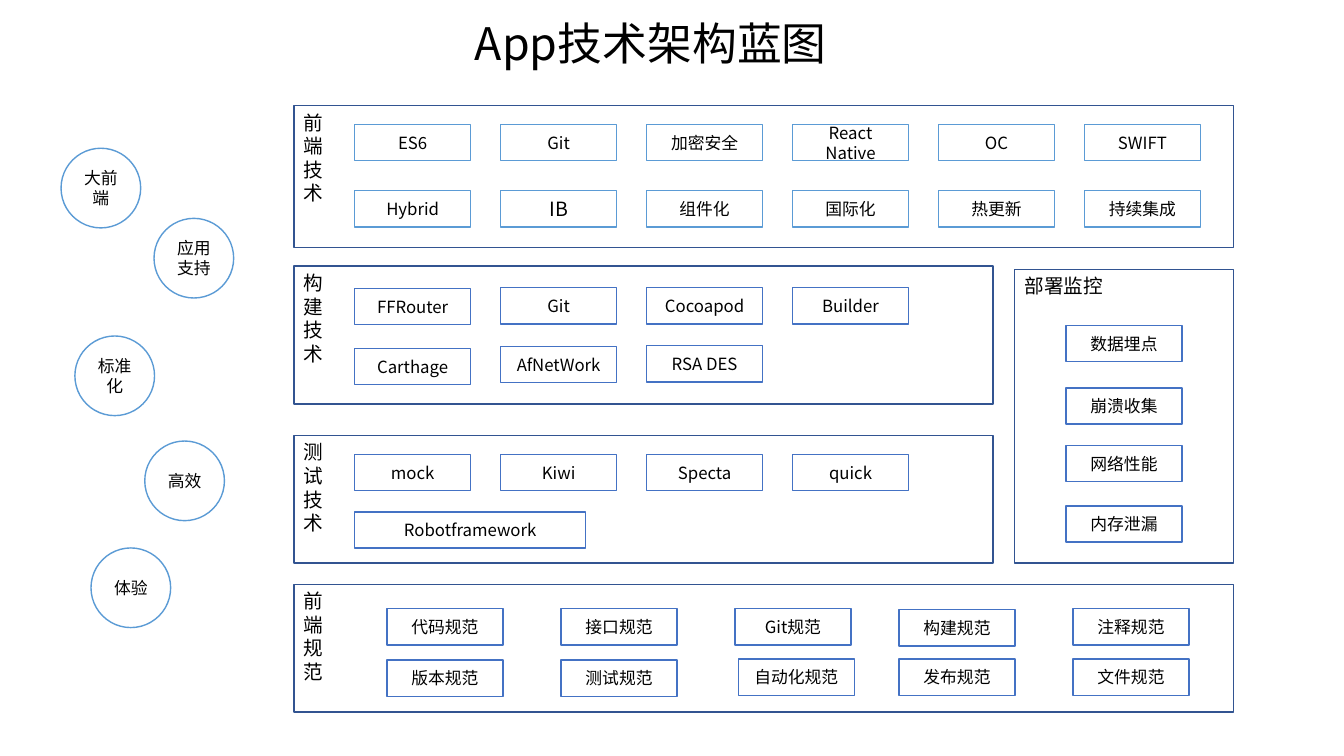
import pptx
import pptx.util
import pptx.dml.color
import pptx.enum.shapes
import pptx.enum.text
import pptx.oxml.ns
import lxml.etree

Pt = pptx.util.Pt
SHAPE = pptx.enum.shapes.MSO_SHAPE
ALIGN = pptx.enum.text.PP_ALIGN
ANCHOR = pptx.enum.text.MSO_ANCHOR

CJK, LATIN = "Noto Sans CJK SC", "Calibri"
WHITE, BLACK = "FFFFFF", "000000"
NAVY, BLUE, SKY = "325491", "4472C4", "5B9BD5"

TITLE = "App技术架构蓝图"
BOX_W, BOX_H, CIRCLE = 82.8, 25.9, 56.9
PANEL_X, FULL_W, PART_W = 210, 671, 499.4

TECH_COLS = [253.4 + 104.25 * i for i in range(6)]
RULE_COLS = [276.4, 400.8, 525, 642.2, 766.5]
SIDE_COLS = [761.5]

# title, (left, top, width, height), vertical title, box line, columns, rows of (top, names)
PANELS = [
    ("前端技术", (PANEL_X, 75.4, FULL_W, 101.5), True, SKY, TECH_COLS, [
        (89, ["ES6", "Git", "加密安全", "React Native", "OC", "SWIFT"]),
        (136.3, ["Hybrid", "IB", "组件化", "国际化", "热更新", "持续集成"])]),
    ("构建技术", (PANEL_X, 190, PART_W, 98.6), True, BLUE, TECH_COLS, [
        (205.5, ["FFRouter", "Git", "Cocoapod", "Builder"]),
        (247.5, ["Carthage", "AfNetWork", "RSA DES"])]),
    ("测试技术", (PANEL_X, 311, PART_W, 91.2), True, BLUE, TECH_COLS, [
        (324.7, ["mock", "Kiwi", "Specta", "quick"]),
        (365.6, ["Robotframework"])]),
    ("部署监控", (724.8, 192.4, 156.2, 209.8), False, BLUE, SIDE_COLS, [
        (232.5, ["数据埋点"]), (277.1, ["崩溃收集"]),
        (318.2, ["网络性能"]), (361.4, ["内存泄漏"])]),
    ("前端规范", (PANEL_X, 417.4, FULL_W, 91.2), True, BLUE, RULE_COLS, [
        (434.8, ["代码规范", "接口规范", "Git规范", "构建规范", "注释规范"]),
        (470.8, ["版本规范", "测试规范", "自动化规范", "发布规范", "文件规范"])]),
]
NUDGES = {"FFRouter": (0, 0.5), "Carthage": (0, 1.5), "RSA DES": (0, -0.5),
          "构建规范": (0, 0.7), "版本规范": (0, 0.7), "测试规范": (0, 0.7),
          "自动化规范": (2.4, 0)}
WIDE = {"Robotframework": 165}
LARGE = {"IB": 14}

GOALS = [("大前端", 43.6, 105.9), ("应用支持", 110, 156), ("标准化", 53.5, 240),
         ("高效", 103.4, 315), ("体验", 65, 391.4)]


def rgb(value):
    return pptx.dml.color.RGBColor.from_string(value)


def write(sp, text, size, font=CJK, align=ALIGN.CENTER, anchor=ANCHOR.MIDDLE):
    tf = sp.text_frame
    tf.text = text
    tf.word_wrap = True
    tf.vertical_anchor = anchor
    p = tf.paragraphs[0]
    p.alignment = align
    r = p.runs[0]
    r.font.size = Pt(size)
    r.font.name = font
    r.font.color.rgb = rgb(BLACK)
    qn = pptx.oxml.ns.qn
    for props in sp.element.iter(qn("a:rPr")):
        lxml.etree.SubElement(props, qn("a:ea")).set("typeface", CJK)


def add_outline(s, kind, bounds, line):
    sp = s.shapes.add_shape(kind, *[Pt(v) for v in bounds])
    sp.shadow.inherit = False
    sp.fill.solid()
    sp.fill.fore_color.rgb = rgb(WHITE)
    sp.line.color.rgb = rgb(line)
    sp.line.width = Pt(1)
    return sp


def add_panel(s, title, bounds, vertical, line, cols, rows):
    sp = add_outline(s, SHAPE.RECTANGLE, bounds, NAVY)
    write(sp, title, 14, align=ALIGN.LEFT, anchor=ANCHOR.TOP)
    if vertical:
        sp.element.txBody.bodyPr.set("vert", "wordArtVert")
    for top, names in rows:
        for left, name in zip(cols, names):
            dx, dy = NUDGES.get(name, (0, 0))
            box = (left + dx, top + dy, WIDE.get(name, BOX_W), BOX_H)
            sp = add_outline(s, SHAPE.RECTANGLE, box, line)
            write(sp, name, LARGE.get(name, 12))


def main():
    prs = pptx.Presentation()
    prs.slide_width, prs.slide_height = Pt(960), Pt(540)
    s = prs.slides.add_slide(prs.slide_layouts[6])

    for panel in PANELS:
        add_panel(s, *panel)

    heading = s.shapes.add_textbox(Pt(51), Pt(0.7), Pt(828), Pt(64.8))
    write(heading, TITLE, 32)
    heading.text_frame.paragraphs[0].line_spacing = 0.9

    for name, left, top in GOALS:
        sp = add_outline(s, SHAPE.OVAL, (left, top, CIRCLE, CIRCLE), SKY)
        write(sp, name, 12, LATIN)

    prs.save("out.pptx")


if __name__ == "__main__":
    main()
